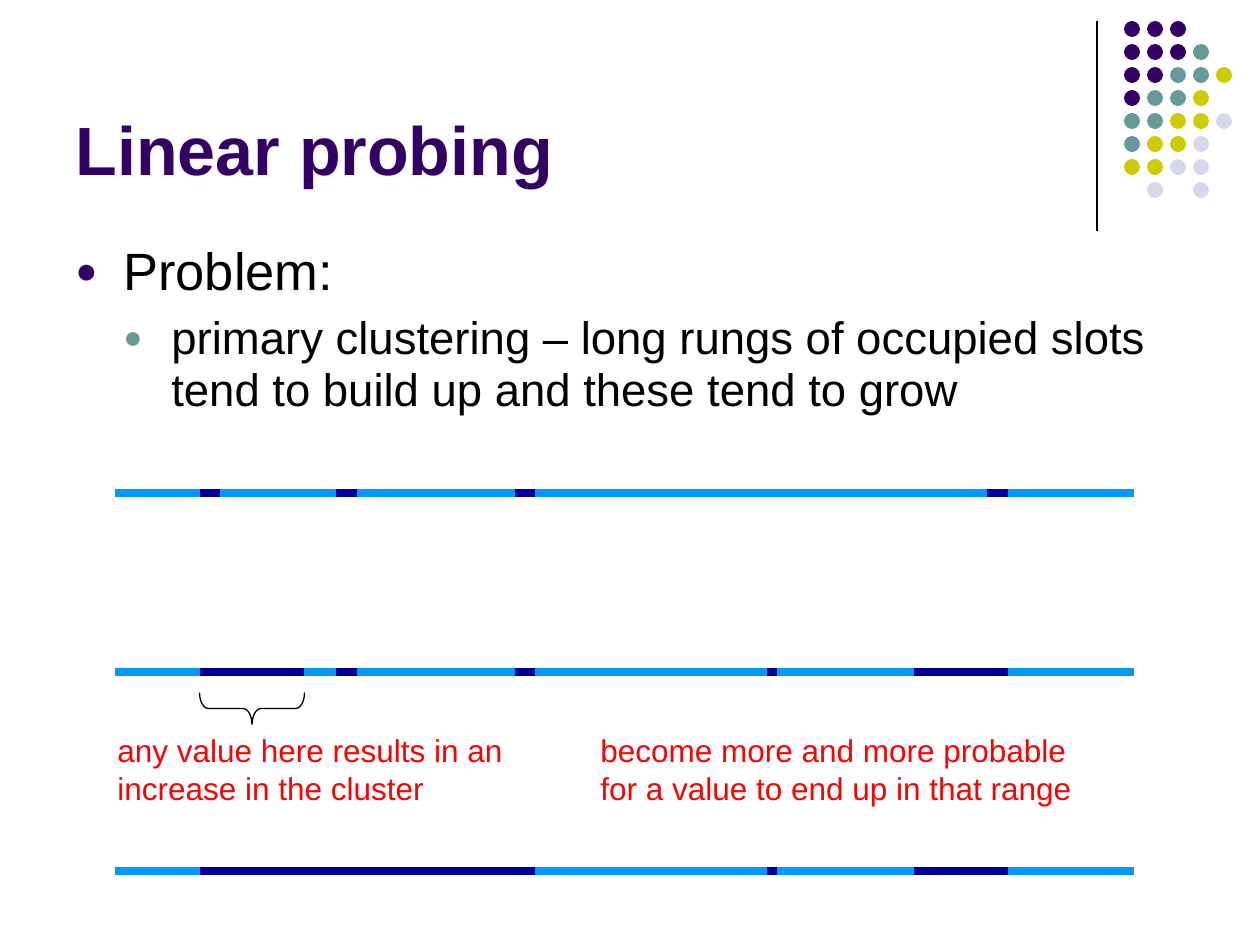
from dataclasses import dataclass

from lxml import etree
from pptx import Presentation
from pptx import util as u
from pptx.dml.color import RGBColor
from pptx.enum import shapes, text
from pptx.oxml.ns import qn

PX_PER_INCH = 126
FONT = "Arial"
PURPLE, TEAL, OLIVE, LAVENDER = "330066", "669999", "CCCC00", "D8D8EC"
BLACK, RED, FREE_BLUE, OCCUPIED_BLUE = "000000", "FF0000", "0099FF", "000099"

DOT_COLORS = {"P": PURPLE, "T": TEAL, "O": OLIVE, "L": LAVENDER}
DOT_ROWS = ("PPP", "PPPT", "PPTTO", "PTTO", "TTOOL", "TOOL", "OOLL", " L L")
DOT_LEFT, DOT_TOP, DOT_PITCH, DOT_SIZE = 1124, 21, 23, 16
TABLE_LEFT, TABLE_RIGHT = 115, 1134


@dataclass(frozen=True)
class HashTable:
    y: int
    occupied: tuple[tuple[int, int], ...]


@dataclass(frozen=True)
class Bullet:
    wording: str
    level: int
    size: int
    space_before: float
    color: str


@dataclass(frozen=True)
class Note:
    wording: str
    left: int


HASH_TABLES = (
    HashTable(493, ((200, 220), (336, 357), (515, 535), (987, 1008))),
    HashTable(672, ((200, 304), (336, 357), (515, 535), (914, 1008), (767, 777))),
    HashTable(871, ((200, 535), (336, 357), (515, 535), (914, 1008), (767, 777))),
)
BULLETS = (
    Bullet("Problem:", 0, 30, 7.5, PURPLE),
    Bullet("primary clustering – long rungs of occupied slots "
           "tend to build up and these tend to grow", 1, 26, 6.5, TEAL),
)
NOTES = (
    Note("any value here results in an increase in the cluster", 105),
    Note("become more and more probable for a value to end up in that range", 588),
)


def px(length: int) -> int:
    return round(length * u.Inches(1) / PX_PER_INCH)


def box(*lengths: int) -> list[int]:
    return [px(length) for length in lengths]


def rgb(color: str) -> RGBColor:
    return RGBColor.from_string(color)


def style_paragraph(paragraph, size: int, color: str, bold: bool = False) -> None:
    paragraph.alignment = text.PP_ALIGN.LEFT
    font = paragraph.font
    font.name, font.size, font.bold = FONT, u.Pt(size), bold
    font.color.rgb = rgb(color)


def add_line(parent, start: tuple[int, int], end: tuple[int, int],
             color: str, width: float) -> None:
    line = parent.add_connector(shapes.MSO_CONNECTOR.STRAIGHT, *box(*start, *end))
    line.line.color.rgb = rgb(color)
    line.line.width = u.Pt(width)
    etree.SubElement(line._element.spPr, qn("a:effectLst"))


def add_dots(slide) -> None:
    dots = slide.shapes.add_group_shape().shapes
    for row, codes in enumerate(DOT_ROWS):
        for column, code in enumerate(codes):
            if code == " ":
                continue
            dot = dots.add_shape(shapes.MSO_SHAPE.OVAL, *box(
                DOT_LEFT + column * DOT_PITCH, DOT_TOP + row * DOT_PITCH,
                DOT_SIZE, DOT_SIZE))
            dot.shadow.inherit = False
            dot.fill.solid()
            dot.fill.fore_color.rgb = rgb(DOT_COLORS[code])
            dot.line.fill.background()


def format_title(slide) -> None:
    title = slide.shapes.title
    title.left, title.top, title.width, title.height = box(63, 16, 1039, 179)
    frame = title.text_frame
    frame.text = "Linear probing"
    frame.vertical_anchor = text.MSO_ANCHOR.BOTTOM
    frame.auto_size = text.MSO_AUTO_SIZE.NONE
    style_paragraph(frame.paragraphs[0], 39, PURPLE, bold=True)


def add_bullet_marker(paragraph, bullet: Bullet) -> None:
    properties = paragraph._p.get_or_add_pPr()
    indent = px(48)
    properties.set("marL", str(indent * (bullet.level + 1)))
    properties.set("indent", str(-indent))
    marker_color = etree.SubElement(properties, qn("a:buClr"))
    etree.SubElement(marker_color, qn("a:srgbClr"), val=bullet.color)
    etree.SubElement(properties, qn("a:buSzPct"), val="70000")
    etree.SubElement(properties, qn("a:buFont"), typeface=FONT)
    etree.SubElement(properties, qn("a:buChar"), char="●")


def add_bullets(slide) -> None:
    frame = slide.shapes.add_textbox(*box(63, 237, 1134, 194)).text_frame
    frame.word_wrap = True
    for index, bullet in enumerate(BULLETS):
        paragraph = frame.add_paragraph() if index else frame.paragraphs[0]
        paragraph.text = bullet.wording
        paragraph.level = bullet.level
        paragraph.line_spacing = 0.94
        paragraph.space_before = u.Pt(bullet.space_before)
        add_bullet_marker(paragraph, bullet)
        style_paragraph(paragraph, bullet.size, BLACK)


def add_hash_table(slide, table: HashTable) -> None:
    """Draw the free slots as one bar with the occupied runs on top."""
    bars = slide.shapes.add_group_shape().shapes
    add_line(bars, (TABLE_LEFT, table.y), (TABLE_RIGHT, table.y), FREE_BLUE, 4.5)
    for start, end in table.occupied:
        add_line(bars, (start, table.y), (end, table.y), OCCUPIED_BLUE, 4.5)


def add_cluster_brace(slide) -> None:
    brace = slide.shapes.add_shape(shapes.MSO_SHAPE.LEFT_BRACE,
                                   *box(236, 656, 32, 105))
    brace.rotation = 270
    brace.adjustments[0] = 0.28
    brace.shadow.inherit = False
    brace.fill.background()
    brace.line.color.rgb = rgb(BLACK)
    brace.line.width = u.Pt(0.75)


def add_note(slide, note: Note) -> None:
    frame = slide.shapes.add_textbox(*box(note.left, 725, 514, 88)).text_frame
    frame.word_wrap = True
    paragraph = frame.paragraphs[0]
    paragraph.text = note.wording
    paragraph.line_spacing = u.Pt(21.6)
    paragraph.space_before = u.Pt(11.2)
    style_paragraph(paragraph, 18, RED)


def main() -> None:
    deck = Presentation()
    deck.slide_width, deck.slide_height = u.Inches(10), u.Inches(7.5)
    slide = deck.slides.add_slide(deck.slide_layouts.get_by_name("Title Only"))
    add_line(slide.shapes, (1097, 21), (1097, 231), BLACK, 0.75)
    add_dots(slide)
    format_title(slide)
    add_bullets(slide)
    for table in HASH_TABLES:
        add_hash_table(slide, table)
    add_cluster_brace(slide)
    for note in NOTES:
        add_note(slide, note)
    deck.save("out.pptx")


if __name__ == "__main__":
    main()
